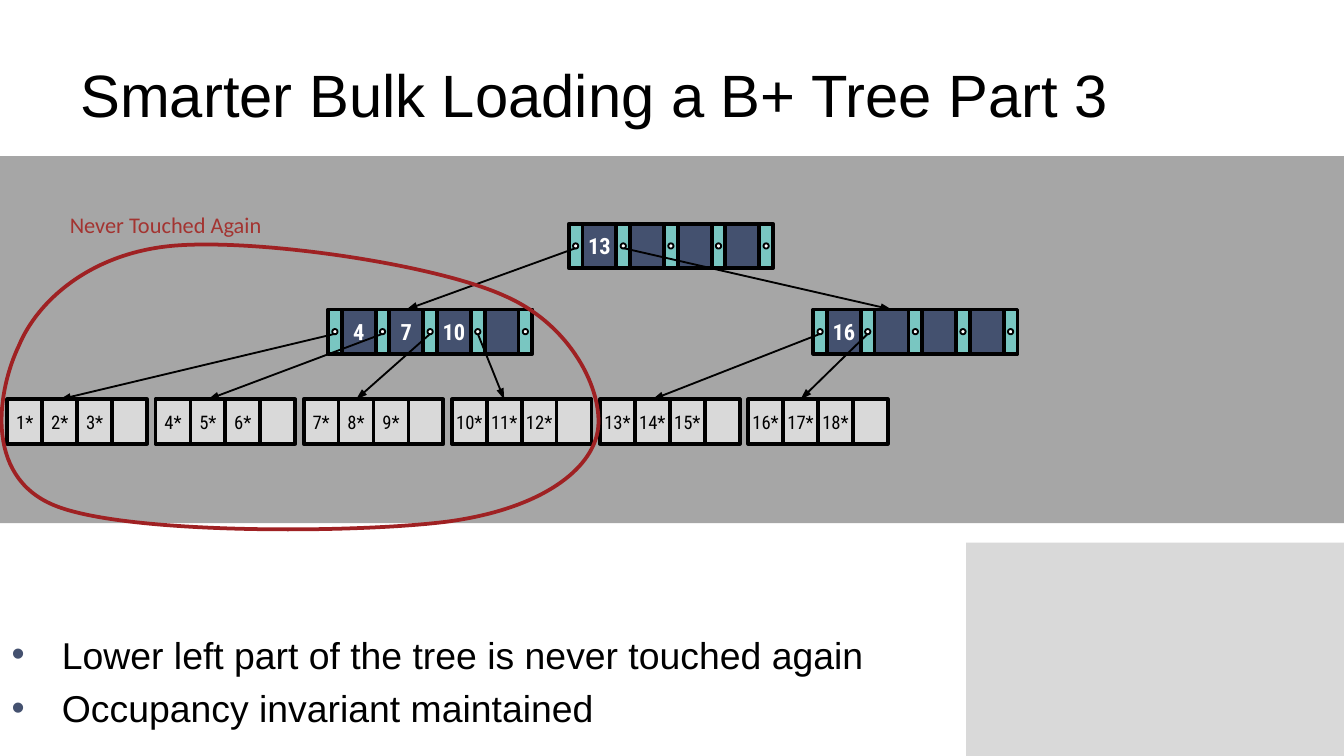
import lxml.etree
import pptx
import pptx.dml.color
import pptx.enum.shapes
import pptx.enum.text
import pptx.oxml.ns
import pptx.util

Cm = pptx.util.Cm
Pt = pptx.util.Pt
Shapes = pptx.enum.shapes.MSO_SHAPE
Anchor = pptx.enum.text.MSO_ANCHOR
Align = pptx.enum.text.PP_ALIGN
qn = pptx.oxml.ns.qn

# Content
TITLE = "Smarter Bulk Loading a B+ Tree Part 3"
BULLETS = ["Lower left part of the tree is never touched again",
           "Occupancy invariant maintained"]
LABEL = "Never Touched Again"
# name: (left, top, keys), lengths in cm
INNER_NODES = {
    "root": (10.75, 4.23, ["13", "", "", ""]),
    "left": (6.2, 5.85, ["4", "7", "10", ""]),
    "right": (15.37, 5.85, ["16", "", "", ""]),
}
LEAVES = [[f"{3 * leaf + entry}*" for entry in (1, 2, 3)] + [""] for leaf in range(6)]
# parent, pointer number, child (inner node name or leaf number)
LINKS = [("root", 0, "left"), ("root", 1, "right"),
         ("left", 0, 0), ("left", 1, 1), ("left", 2, 2), ("left", 3, 3),
         ("right", 0, 4), ("right", 1, 5)]
# Closed outline: box, start, then two control points and an end point per curve, in cm
OUTLINE_BOX = (0.03, 4.62, 11.3, 5.38)
OUTLINE_START = (3.23, 4.65)
OUTLINE_CURVES = [
    ((4.78, 4.5), (8.18, 4.98), (9.53, 5.59)),
    ((10.87, 6.17), (11.46, 7.52), (11.28, 8.23)),
    ((11.1, 8.94), (10.16, 9.63), (8.46, 9.86)),
    ((6.76, 10.08), (2.36, 10.11), (1.02, 9.55)),
    ((-0.33, 8.99), (-0.03, 7.34), (0.36, 6.53)),
    ((0.71, 5.69), (1.7, 4.8), OUTLINE_START),
]

# Node geometry in cm
NODE_HEIGHT = 0.84
POINTER_WIDTH, KEY_WIDTH = 0.26, 0.64
DOT = 0.1
LEAF_LEFT, LEAF_TOP, LEAF_STEP, ENTRY_WIDTH = 0.14, 7.55, 2.8, 0.66


def color(value):
    return pptx.dml.color.RGBColor.from_string(value)


def add_block(shapes, kind, left, top, width, height, fill, line_width=None):
    shape = shapes.add_shape(kind, Cm(left), Cm(top), Cm(width), Cm(height))
    shape.shadow.inherit = False
    shape.fill.solid()
    shape.fill.fore_color.rgb = color(fill)
    if line_width:
        shape.line.color.rgb = color("000000")
        shape.line.width = Pt(line_width)
    else:
        shape.line.fill.background()
    return shape


def style(paragraph, size, name, rgb, bold=False):
    for run in paragraph.runs:
        run.font.size = Pt(size)
        run.font.name = name
        run.font.color.rgb = color(rgb)
        run.font.bold = bold


def add_cell(shapes, left, top, width, fill, text, size, rgb, bold):
    cell = add_block(shapes, Shapes.RECTANGLE, left, top, width, NODE_HEIGHT, fill, 2)
    if text:
        frame = cell.text_frame
        frame.margin_left = frame.margin_right = 0
        frame.vertical_anchor = Anchor.MIDDLE
        frame.text = text
        frame.paragraphs[0].alignment = Align.CENTER
        style(frame.paragraphs[0], size, "Roboto Condensed", rgb, bold)
    return cell


def add_text(shapes, left, top, width, height, anchor, lines, size, name, rgb):
    frame = shapes.add_textbox(Cm(left), Cm(top), Cm(width), Cm(height)).text_frame
    frame.word_wrap = True
    frame.vertical_anchor = anchor
    frame.text = "\n".join(lines)
    for paragraph in frame.paragraphs:
        style(paragraph, size, name, rgb)
    return frame


def add_xml(parent, tag, **attributes):
    return lxml.etree.SubElement(parent, qn(tag), attributes)


def pointer_left(node, number):
    return INNER_NODES[node][0] + number * (POINTER_WIDTH + KEY_WIDTH)


def add_inner_node(slide, name):
    top, keys = INNER_NODES[name][1:]
    shapes = slide.shapes.add_group_shape().shapes
    cells = [add_cell(shapes, pointer_left(name, number) + POINTER_WIDTH, top,
                      KEY_WIDTH, "44516F", key, 12, "FFFFFF", True)
             for number, key in enumerate(keys)]
    for number in range(len(keys) + 1):
        x = pointer_left(name, number)
        add_block(shapes, Shapes.RECTANGLE, x, top, POINTER_WIDTH, NODE_HEIGHT, "79C6C1", 2)
        add_block(shapes, Shapes.OVAL, x + (POINTER_WIDTH - DOT) / 2,
                  top + (NODE_HEIGHT - DOT) / 2, DOT, DOT, "FFFFFF", 1)
    return cells


def add_leaf(slide, number, entries):
    shapes = slide.shapes.add_group_shape().shapes
    left = LEAF_LEFT + number * LEAF_STEP
    return [add_cell(shapes, left + column * ENTRY_WIDTH, LEAF_TOP, ENTRY_WIDTH,
                     "D9D9D9", entry, 10, "000000", False)
            for column, entry in enumerate(entries)]


def add_link(slide, parent, number, target):
    x = pointer_left(parent, number) + POINTER_WIDTH / 2
    y = INNER_NODES[parent][1] + NODE_HEIGHT / 2 + 0.04
    connector = slide.shapes.add_connector(
        pptx.enum.shapes.MSO_CONNECTOR.STRAIGHT, Cm(x), Cm(y), Cm(x), Cm(y))
    connector.end_connect(target, 0)
    connector.line.color.rgb = color("000000")
    connector.line.width = Pt(1)
    add_xml(connector.line._get_or_add_ln(), "a:tailEnd", type="triangle", w="sm")
    add_xml(connector._element.spPr, "a:effectLst")


def add_outline(shapes):
    # A rectangle fixes the box; its path is then redrawn with curves in 0.01 cm
    left, top, width, height = (round(100 * value) for value in OUTLINE_BOX)
    builder = shapes.build_freeform(left, top, scale=Cm(0.01))
    builder.add_line_segments([(left + width, top), (left + width, top + height),
                               (left, top + height)])
    outline = builder.convert_to_shape()
    curve = outline._element.spPr.find(".//" + qn("a:path"))
    for segment in list(curve):
        curve.remove(segment)
    segments = [("a:moveTo", [OUTLINE_START])]
    segments += [("a:cubicBezTo", points) for points in OUTLINE_CURVES]
    for tag, points in segments:
        segment = add_xml(curve, tag)
        for x, y in points:
            add_xml(segment, "a:pt", x=str(round(100 * x) - left), y=str(round(100 * y) - top))
    add_xml(curve, "a:close")
    outline.shadow.inherit = False
    outline.fill.background()
    outline.line.color.rgb = color("9F2123")
    outline.line.width = Pt(2)


def main():
    presentation = pptx.Presentation()
    presentation.slide_width, presentation.slide_height = Cm(25.4), Cm(14.29)
    slide = presentation.slides.add_slide(presentation.slide_layouts[6])
    shapes = slide.shapes

    # Corner panel, title and bullets
    add_block(shapes, Shapes.RECTANGLE, 18.26, 10.26, 7.14, 4.03, "D9D9D9")
    add_text(shapes, 1.27, 0.58, 22.86, 2.39, Anchor.MIDDLE, [TITLE], 32, "Arial", "000000")
    bullets = add_text(shapes, -0.03, 9.81, 22.86, 4.11, Anchor.BOTTOM, BULLETS,
                       20, "Arial", "000000")
    for index, paragraph in enumerate(bullets.paragraphs):
        if index:
            paragraph.space_before = Pt(4.5)
        properties = paragraph._p.get_or_add_pPr()
        properties.set("marL", str(Cm(0.95)))
        properties.set("indent", str(Cm(-0.95)))
        add_xml(add_xml(properties, "a:buClr"), "a:srgbClr", val="44516F")
        add_xml(properties, "a:buFont", typeface="Arial")
        add_xml(properties, "a:buChar", char="•")

    # Tree on its grey band
    add_block(shapes, Shapes.RECTANGLE, 0, 2.95, 25.4, 6.94, "A6A6A6")
    cells = {name: add_inner_node(slide, name) for name in INNER_NODES}
    cells.update((number, add_leaf(slide, number, entries))
                 for number, entries in enumerate(LEAVES))
    for parent, number, child in LINKS:
        add_link(slide, parent, number, cells[child][1])

    # Outline round the finished part, with its label
    add_outline(shapes)
    label = add_text(shapes, 1.07, 3.86, 4.17, 0.76, Anchor.TOP, [LABEL],
                     12, "Calibri", "A33431")
    label.word_wrap = False

    presentation.save("out.pptx")


if __name__ == "__main__":
    main()
